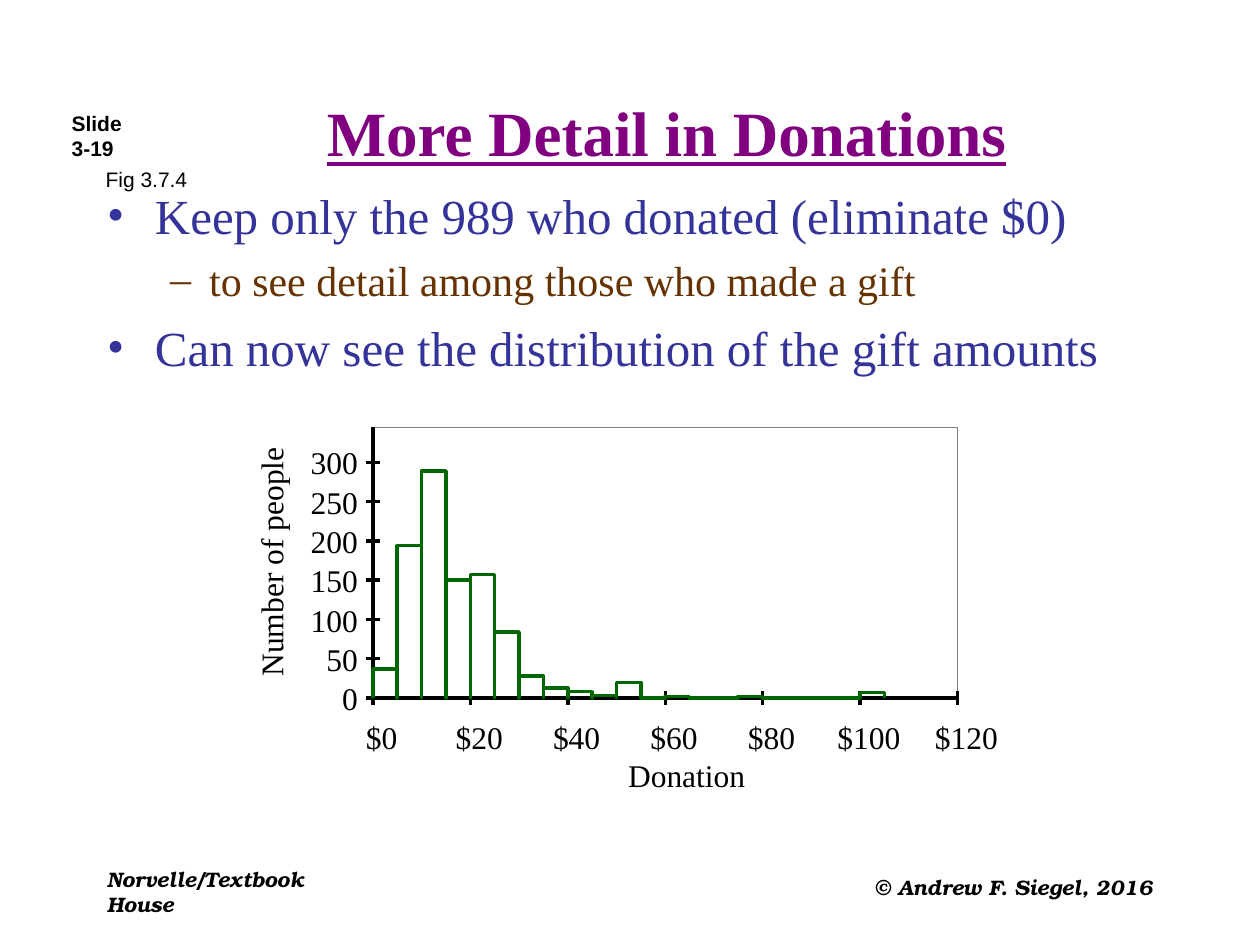
from dataclasses import dataclass

from lxml.etree import SubElement
from pptx import Presentation
from pptx.dml.color import RGBColor
from pptx.enum.shapes import MSO_CONNECTOR, MSO_SHAPE
from pptx.enum.text import MSO_ANCHOR, MSO_AUTO_SIZE, PP_ALIGN
from pptx.oxml.ns import qn
from pptx.util import Inches, Pt


@dataclass(frozen=True)
class Theme:
    serif: str = "Times New Roman"
    sans: str = "Arial"
    footer: str = "TeX Gyre Bonum"
    black: str = "000000"
    title: str = "800080"
    point: str = "333399"
    subpoint: str = "663300"
    frame: str = "808080"
    bars: str = "006600"
    title_size: int = 36
    point_size: int = 28
    subpoint_size: int = 24
    label_size: int = 18
    small_size: int = 12


theme = Theme()


def add_text(lines, left, top, width, height, font_name, size, align=PP_ALIGN.LEFT,
             bold=False, italic=False, margins=(0, 0)):
    shape = slide.shapes.add_textbox(Inches(left), Inches(top), Inches(width), Inches(height))
    frame = shape.text_frame
    frame.word_wrap = True
    frame.margin_left = frame.margin_right = Inches(margins[0])
    frame.margin_top = frame.margin_bottom = Inches(margins[1])
    frame.text = "\n".join(lines)
    for paragraph in frame.paragraphs:
        paragraph.alignment = align
        font = paragraph.font
        font.name, font.size = font_name, Pt(size)
        font.bold, font.italic = bold, italic
        font.color.rgb = RGBColor.from_string(theme.black)
    return shape


def add_line(start_x, start_y, end_x, end_y):
    line = slide.shapes.add_connector(
        MSO_CONNECTOR.STRAIGHT, Inches(start_x), Inches(start_y), Inches(end_x), Inches(end_y))
    line.line.color.rgb = RGBColor.from_string(theme.black)
    line.line.width = Pt(0)
    SubElement(line._element.spPr, qn("a:effectLst"))


presentation = Presentation()
presentation.slide_width, presentation.slide_height = Inches(10), Inches(7.5)
slide = presentation.slides.add_slide(presentation.slide_layouts[1])

title = slide.shapes.title
title.left, title.top, title.width, title.height = map(Inches, (1.33, 0.67, 7.92, 0.75))
title.text_frame.text = "More Detail in Donations"
title.text_frame.vertical_anchor = MSO_ANCHOR.MIDDLE
title.text_frame.auto_size = MSO_AUTO_SIZE.NONE
paragraph = title.text_frame.paragraphs[0]
paragraph.alignment = PP_ALIGN.CENTER
paragraph.font.name, paragraph.font.size = theme.serif, Pt(theme.title_size)
paragraph.font.bold = paragraph.font.underline = True
paragraph.font.color.rgb = RGBColor.from_string(theme.title)

body = slide.placeholders[1]
body.left, body.top, body.width, body.height = map(Inches, (0.75, 1.42, 8.5, 5.25))
body.text_frame.auto_size = MSO_AUTO_SIZE.NONE
points = [
    (0, "Keep only the 989 who donated (eliminate $0)"),
    (1, "to see detail among those who made a gift"),
    (0, "Can now see the distribution of the gift amounts"),
]
levels = [
    (0.38, -0.38, "•", theme.point, theme.point_size, 7),
    (0.81, -0.31, "–", theme.subpoint, theme.subpoint_size, 6),
]
body.text_frame.text = "\n".join(text for _, text in points)
for index, (level, _) in enumerate(points):
    margin, indent, bullet, color, size, space = levels[level]
    paragraph = body.text_frame.paragraphs[index]
    paragraph.level = level
    paragraph.space_before = Pt(space if index else 0)
    properties = paragraph._p.get_or_add_pPr()
    properties.set("marL", str(Inches(margin)))
    properties.set("indent", str(Inches(indent)))
    SubElement(SubElement(properties, qn("a:buClr")), qn("a:srgbClr"), val=color)
    SubElement(properties, qn("a:buFont"), typeface=theme.serif)
    SubElement(properties, qn("a:buChar"), char=bullet)
    paragraph.font.name, paragraph.font.size = theme.serif, Pt(size)
    paragraph.font.color.rgb = RGBColor.from_string(color)

box_margins = (0.1, 0.05)
add_text(["Slide", "3-19"], 0.47, 0.83, 1.15, 0.5, theme.sans, theme.small_size,
         bold=True, margins=box_margins)
add_text(["Fig 3.7.4"], 0.74, 1.27, 0.95, 0.3, theme.sans, theme.small_size,
         margins=box_margins)
add_text(["Norvelle/Textbook House"], 0.75, 6.83, 2.33, 0.5, theme.footer, theme.small_size,
         bold=True, italic=True, margins=box_margins)
add_text(["© Andrew F. Siegel, 2016"], 5.58, 6.89, 3.67, 0.45, theme.footer, theme.small_size,
         PP_ALIGN.RIGHT, bold=True, italic=True, margins=box_margins)

plot_left, plot_top, plot_width, plot_height = 2.96, 3.39, 4.64, 2.15
plot_right, baseline = plot_left + plot_width, plot_top + plot_height
dollar_width = plot_width / 120
person_height = 1.87 / 300
tick = 0.055

plot_frame = slide.shapes.add_shape(
    MSO_SHAPE.RECTANGLE, *map(Inches, (plot_left, plot_top, plot_width, plot_height)))
plot_frame.shadow.inherit = False
plot_frame.fill.background()
plot_frame.line.color.rgb = RGBColor.from_string(theme.frame)
plot_frame.line.width = Pt(0.75)

add_line(plot_left, plot_top, plot_left, baseline)
add_line(plot_left, baseline, plot_right, baseline)
for people in range(0, 301, 50):
    y = baseline - people * person_height
    add_line(plot_left - tick, y, plot_left + tick, y)
    add_text([str(people)], 2.34, y - 0.15, 0.5, 0.3, theme.serif, theme.label_size,
             PP_ALIGN.RIGHT)
for dollars in range(0, 121, 20):
    x = plot_left + dollars * dollar_width
    add_line(x, baseline + tick, x, baseline - tick)
    add_text([f"${dollars}"], x - 0.23, 5.7, 0.6, 0.3, theme.serif, theme.label_size,
             PP_ALIGN.CENTER)

donors_per_bin = [37, 194, 289, 150, 157, 84, 28, 13, 8, 3, 20, 0, 2, 0, 0, 2, 0, 0, 0, 0, 7]
bin_width = 5 * dollar_width
outline = []
for index, donors in enumerate(donors_per_bin):
    left = plot_left + index * bin_width
    right, top = left + bin_width, baseline - donors * person_height
    outline += [(left, top), (right, top), (right, baseline)]
builder = slide.shapes.build_freeform(Inches(plot_left), Inches(baseline))
builder.add_line_segments([(Inches(x), Inches(y)) for x, y in outline], close=False)
histogram = builder.convert_to_shape()
histogram.shadow.inherit = False
histogram.fill.background()
histogram.line.color.rgb = RGBColor.from_string(theme.bars)
histogram.line.width = Pt(2)

add_text(["Donation"], 4.95, 6, 1, 0.3, theme.serif, theme.label_size, PP_ALIGN.CENTER)
axis_title = add_text(["Number of people"], 1.15, 4.31, 2, 0.3, theme.serif, theme.label_size,
                      PP_ALIGN.CENTER)
axis_title.rotation = 270

presentation.save("out.pptx")
